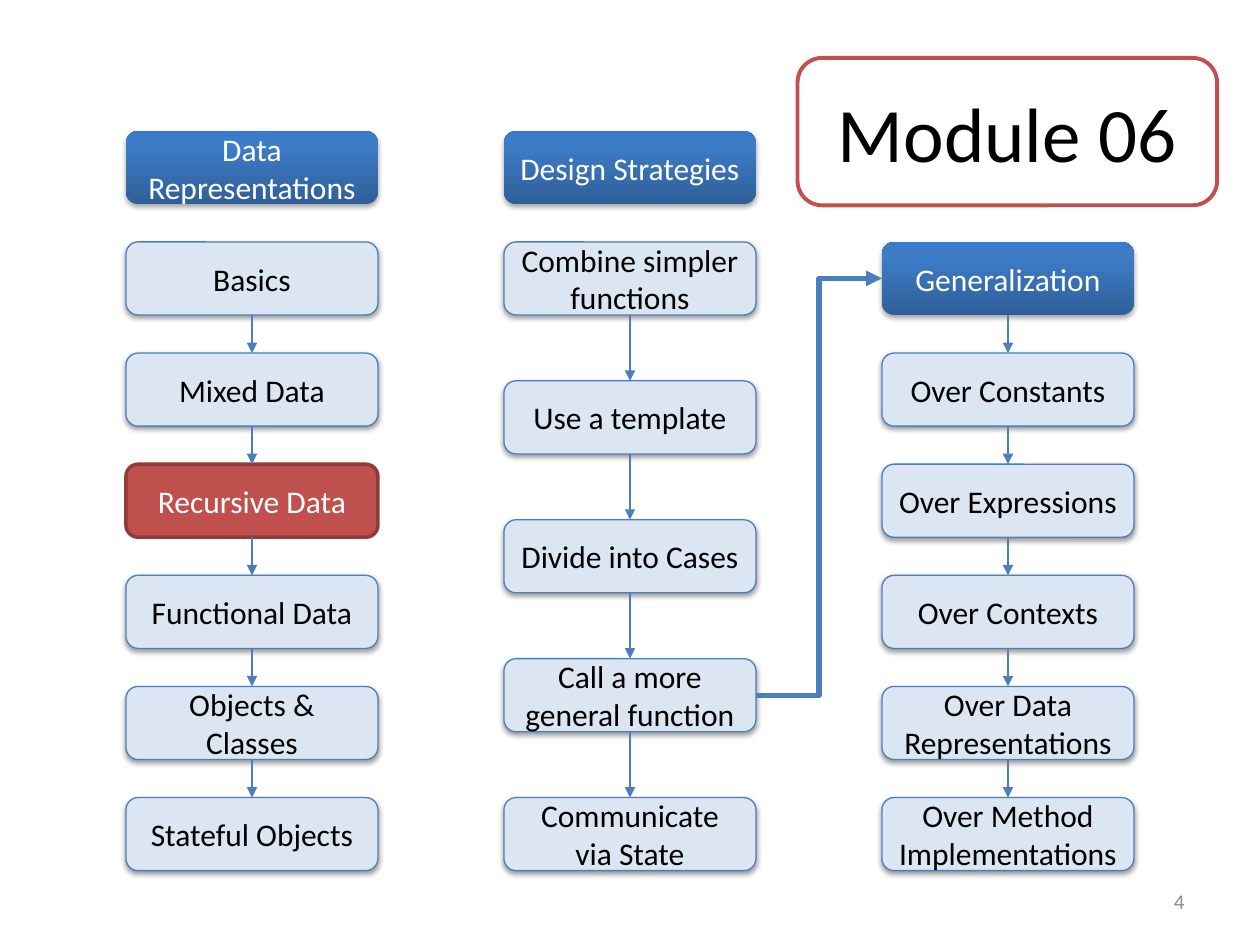
from lxml.etree import SubElement
from pptx import Presentation
from pptx.dml.color import RGBColor
from pptx.enum.shapes import MSO_CONNECTOR as CXN, MSO_SHAPE as SHAPE
from pptx.enum.text import MSO_ANCHOR as ANCHOR, PP_ALIGN as ALIGN
from pptx.oxml import parse_xml
from pptx.oxml.ns import nsdecls, qn
from pptx.util import Inches, Pt

BOX_W, BOX_H = 2, 0.58
HEADER_Y, FIRST_Y, LAST_Y = 1.04, 1.92, 6.33
BLUE, PALE, RED, DARK_RED = "4B7EBC", "DCE6F2", "C0504D", "8E3B39"
BLACK, WHITE, GRAY = "000000", "FFFFFF", "8C8C8C"
HEADER_STOPS = ((0, "2F5F99"), (80, "3D7CC7"), (100, "3A7CCB"))


def rgb(color):
    """Turn a hex string into a colour."""
    return RGBColor.from_string(color)


def write(sp, text, size, color, align=ALIGN.CENTER):
    """Put one middle-anchored paragraph into a shape."""
    tf = sp.text_frame
    tf.word_wrap = True
    tf.vertical_anchor = ANCHOR.MIDDLE
    p = tf.paragraphs[0]
    p.text = text
    p.alignment = align
    p.font.name, p.font.size = "Calibri", Pt(size)
    p.font.color.rgb = rgb(color)


def add_shadow(sp, alpha, dist):
    """Drop a soft black shadow straight below a shape."""
    effects = sp._element.spPr.find(qn("a:effectLst"))
    effects.append(parse_xml(
        f'<a:outerShdw {nsdecls("a")} blurRad="{Pt(3.1)}" dist="{Pt(dist)}" '
        f'dir="5400000" rotWithShape="0"><a:srgbClr val="{BLACK}">'
        f'<a:alpha val="{alpha * 1000}"/></a:srgbClr></a:outerShdw>'))


def add_box(slide, x, y, text, w=BOX_W, h=BOX_H, fill=PALE, line=BLUE,
            line_w=0.75, color=BLACK, size=18):
    """Add a rounded box with centred text."""
    sp = slide.shapes.add_shape(SHAPE.ROUNDED_RECTANGLE, *map(Inches, (x, y, w, h)))
    sp.shadow.inherit = False
    if fill:
        sp.fill.solid()
        sp.fill.fore_color.rgb = rgb(fill)
    else:
        sp.fill.background()
    if line:
        sp.line.color.rgb = rgb(line)
        sp.line.width = Pt(line_w)
    else:
        sp.line.fill.background()
    write(sp, text, size, color)
    return sp


def add_step(slide, x, y, text):
    """Add a pale box with a shadow."""
    sp = add_box(slide, x, y, text)
    add_shadow(sp, 38, 1.6)
    return sp


def add_current_step(slide, x, y, text):
    """Add the red box that marks the current topic."""
    return add_box(slide, x, y, text, fill=RED, line=DARK_RED, line_w=2, color=WHITE)


def add_header(slide, x, y, text):
    """Add a blue gradient box with a shadow."""
    sp = add_box(slide, x, y, text, line=None, color=WHITE)
    stops = "".join(f'<a:gs pos="{pos * 1000}"><a:srgbClr val="{color}"/></a:gs>'
                    for pos, color in HEADER_STOPS)
    spPr = sp._element.spPr
    spPr.replace(spPr.find(qn("a:solidFill")), parse_xml(
        f'<a:gradFill {nsdecls("a")} rotWithShape="1"><a:gsLst>{stops}</a:gsLst>'
        '<a:lin ang="16200000" scaled="0"/></a:gradFill>'))
    add_shadow(sp, 35, 1.8)
    return sp


def add_arrow(slide, start, start_side, end, end_side, kind=CXN.STRAIGHT, width=0.75):
    """Join two boxes with an arrow."""
    cxn = slide.shapes.add_connector(kind, 0, 0, 0, 0)
    cxn.begin_connect(start, start_side)
    cxn.end_connect(end, end_side)
    cxn.line.color.rgb = rgb(BLUE)
    cxn.line.width = Pt(width)
    SubElement(cxn.line._get_or_add_ln(), qn("a:tailEnd"), type="triangle")
    SubElement(cxn._element.spPr, qn("a:effectLst"))


def add_chain(slide, x, texts, makers=None):
    """Spread boxes evenly down a column and link each to the next."""
    makers = makers or {}
    pitch = (LAST_Y - FIRST_Y) / (len(texts) - 1)
    boxes = [makers.get(text, add_step)(slide, x, FIRST_Y + i * pitch, text)
             for i, text in enumerate(texts)]
    for upper, lower in zip(boxes, boxes[1:]):
        add_arrow(slide, upper, 2, lower, 0)
    return boxes


def main():
    """Build the module map."""
    prs = Presentation()
    prs.slide_width, prs.slide_height = Inches(10), Inches(7.5)
    slide = prs.slides.add_slide(prs.slide_layouts[6])

    add_header(slide, 1, HEADER_Y, "Data Representations")
    add_chain(slide, 1, ["Basics", "Mixed Data", "Recursive Data", "Functional Data",
                         "Objects & Classes", "Stateful Objects"],
              {"Recursive Data": add_current_step})
    add_header(slide, 4, HEADER_Y, "Design Strategies")
    strategies = add_chain(slide, 4, [
        "Combine simpler functions", "Use a template", "Divide into Cases",
        "Call a more general function", "Communicate via State"])
    generalization = add_chain(slide, 7, [
        "Generalization", "Over Constants", "Over Expressions", "Over Contexts",
        "Over Data Representations", "Over Method Implementations"],
        {"Generalization": add_header})
    add_arrow(slide, strategies[3], 3, generalization[0], 1, CXN.ELBOW, 3)

    add_box(slide, 6.33, 0.46, "Module 06", w=3.33, h=1.17, fill=None, line=RED,
            line_w=2.25, size=44)
    number = slide.shapes.add_textbox(*map(Inches, (7.17, 6.95, 2.33, 0.4)))
    write(number, "4", 12, GRAY, ALIGN.RIGHT)
    prs.save("out.pptx")


if __name__ == "__main__":
    main()
